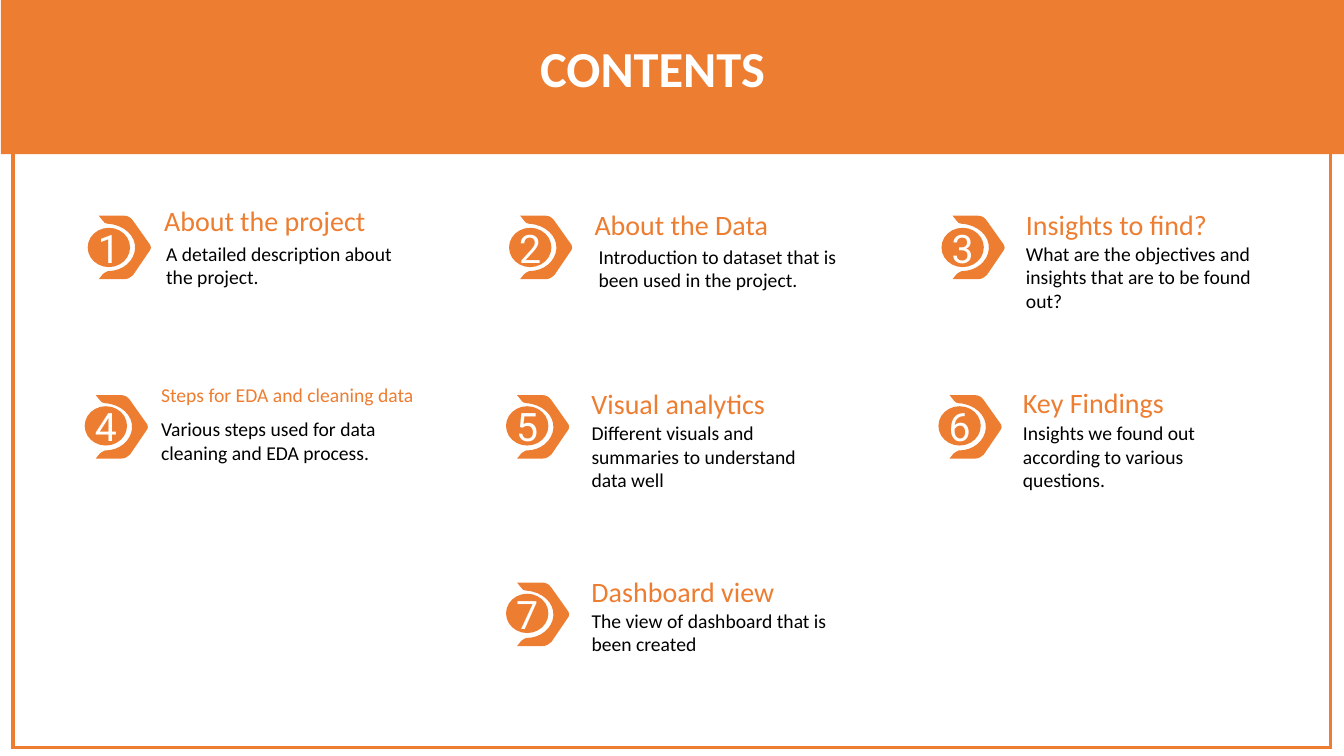
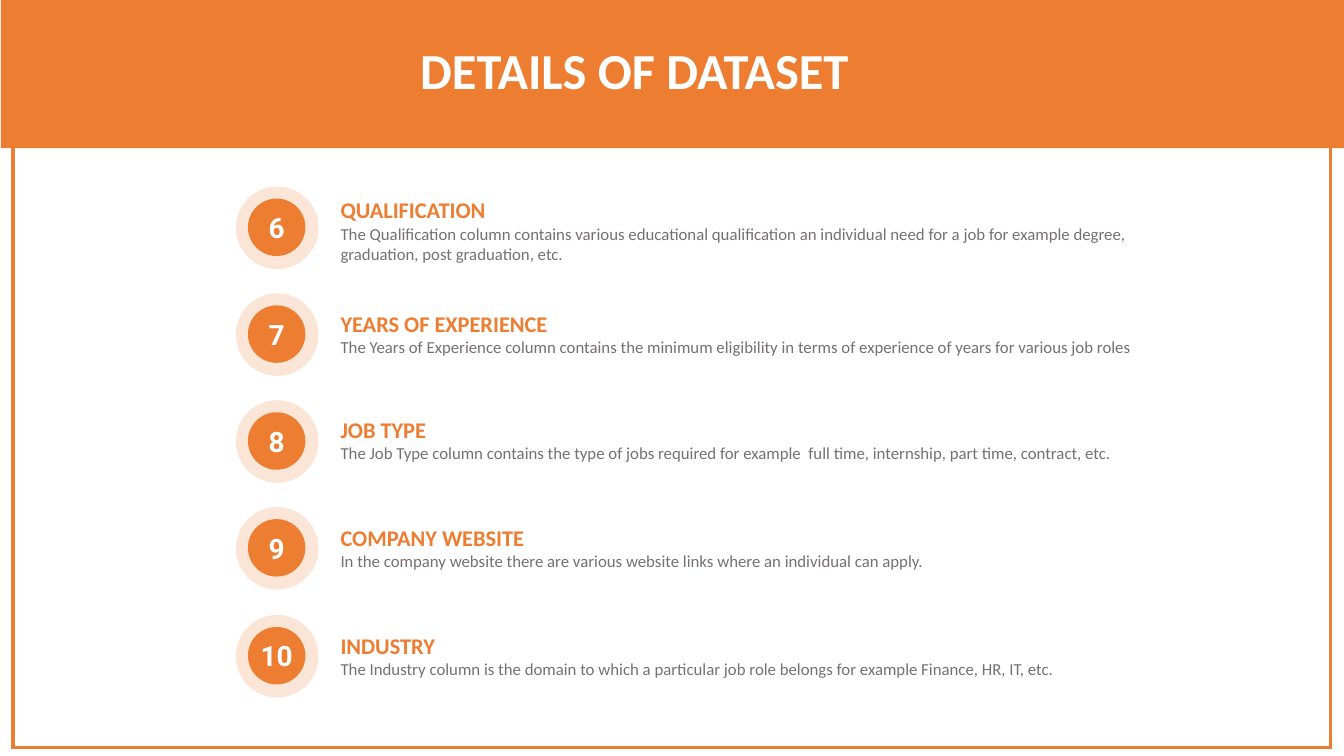
"""Build the contents slide and the dataset details slide."""
from dataclasses import dataclass

from lxml.etree import SubElement
from pptx import Presentation
from pptx.dml.color import RGBColor
from pptx.enum.shapes import MSO_SHAPE
from pptx.enum.text import MSO_ANCHOR, MSO_AUTO_SIZE, PP_ALIGN
from pptx.oxml.ns import qn
from pptx.util import Pt

PX = 9144


@dataclass(frozen=True)
class Theme:
    orange: str = "ED7D31"
    peach: str = "FBE5D6"
    white: str = "FFFFFF"
    black: str = "000000"
    grey: str = "767171"
    text: str = "Calibri"
    digits: str = "Roboto"
    title_size: int = 36
    digit_size: int = 28
    heading_size: int = 20
    label_size: int = 16
    body_size: int = 14
    detail_size: int = 12


T = Theme()
TITLE = (T.white, dict(name=T.text, size=Pt(T.title_size), bold=True))
HEADING = (T.orange, dict(name=T.text, size=Pt(T.heading_size), bold=False))
SMALL_HEADING = (T.orange, dict(name=T.text, size=Pt(T.body_size), bold=False))
BODY = (T.black, dict(name=T.text, size=Pt(T.body_size), bold=False))
DIGIT = (T.white, dict(name=T.digits, size=Pt(T.digit_size), bold=False))
BOLD_DIGIT = (T.white, dict(name=T.digits, size=Pt(T.heading_size), bold=True))
LABEL = (T.orange, dict(name=T.text, size=Pt(T.label_size), bold=True))
DETAIL = (T.grey, dict(name=T.text, size=Pt(T.detail_size), bold=False))

GROW = dict(word_wrap=True, auto_size=MSO_AUTO_SIZE.SHAPE_TO_FIT_TEXT)
BADGE = dict(word_wrap=False, vertical_anchor=MSO_ANCHOR.MIDDLE,
             margin_left=0, margin_right=0, margin_top=0, margin_bottom=0)


def paint(sp, fill):
    sp.shadow.inherit = False
    sp.fill.solid()
    sp.fill.fore_color.rgb = RGBColor.from_string(fill)
    sp.line.fill.background()
    return sp


def write(sp, frame, align, *lines):
    tf = sp.text_frame
    for key, value in frame.items():
        setattr(tf, key, value)
    for i, (text, (color, font)) in enumerate(lines):
        p = tf.add_paragraph() if i else tf.paragraphs[0]
        p.alignment = align
        r = p.add_run()
        r.text = text
        r.font.color.rgb = RGBColor.from_string(color)
        for key, value in font.items():
            setattr(r.font, key, value)


prs = Presentation()
prs.slide_width, prs.slide_height = 12192000, 750 * PX
contents, details = [prs.slides.add_slide(prs.slide_layouts[6]) for _ in range(2)]

frame = [v * PX for v in (13, 9, 1307, 733)]
border = paint(contents.shapes.add_shape(MSO_SHAPE.RECTANGLE, *frame), T.white)
border.line.color.rgb = RGBColor.from_string(T.orange)
border.line.width = Pt(2.25)
SubElement(border.element.spPr.find(qn("a:ln")), qn("a:miter"), lim="800000")
border.element.nvSpPr.cNvPr.set("id", "20")
prs.slide_master.shapes.element.append(border.element)

for s, title, band_height, title_left, title_top in [
    (contents, "CONTENTS", 157, 301, 32),
    (details, "DETAILS OF DATASET", 151, 283, 34),
]:
    band = [v * PX for v in (1, -4, 1333, band_height)]
    paint(s.shapes.add_shape(MSO_SHAPE.RECTANGLE, *band), T.orange)
    box = [v * PX for v in (title_left, title_top, 693, 71)]
    write(s.shapes.add_textbox(*box), GROW, PP_ALIGN.CENTER, (title, TITLE))

ARROW_START = (51, 29)
ARROW = [
    [(34, 5)], [(32, 2), (29, 0), (25, 0)], [(0, 0)], [(4, 5)],
    [(5, 7), (7, 8), (9, 8)], [(25, 9), (37, 20), (36, 33)],
    [(35, 45), (24, 55), (9, 55)], [(7, 56), (5, 57), (4, 58)],
    [(0, 63)], [(25, 63)], [(29, 63), (32, 61), (34, 59)], [(51, 34)],
    [(52, 33), (52, 31), ARROW_START],
]
ARROW_LEFTS = (98, 516, 945)
TEXT_LEFTS = (153, 580, 1008)
ROWS = ((0, 214, 12), (-3, 392, 11), (-3, 578, 11))
TOPICS = [
    (0, 0, "About the project", HEADING, -17, 246,
     "A detailed description about the project.", 2, 21, 57),
    (1, 0, "About the Data", HEADING, -13, 233,
     "Introduction to dataset that is been used in the project.", 4, 24, 57),
    (2, 0, "Insights to find?", HEADING, -13, 233,
     "What are the objectives and insights that are to be found out?", 0, 21, 81),
    (0, 1, "Steps for EDA and cleaning data", SMALL_HEADING, -17, 306,
     "Various steps used for data cleaning and EDA process.", 0, 17, 57),
    (1, 1, "Visual analytics", HEADING, -13, 233,
     "Different visuals and summaries to understand data well", 0, 21, 121),
    (2, 1, "Key Findings", HEADING, -14, 233,
     "Insights we found out according to various questions.", 0, 21, 81),
    (1, 2, "Dashboard view", HEADING, -13, 233,
     "The view of dashboard that is been created", 0, 21, 98),
]
for number, topic in enumerate(TOPICS, 1):
    (col, row, heading, style, heading_dy, heading_width,
     body, body_dx, body_dy, body_height) = topic
    shift, top, disc_dy = ROWS[row]
    left, text_left = ARROW_LEFTS[col] + shift, TEXT_LEFTS[col] + shift

    corners = [((left + x) * PX, (top + y) * PX)
               for x, y in [ARROW_START] + [segment[-1] for segment in ARROW]]
    builder = contents.shapes.build_freeform(*corners[0])
    builder.add_line_segments(corners[1:], close=True)
    sp = paint(builder.convert_to_shape(), T.orange)
    for line, segment in zip(list(sp.element.iter(qn("a:lnTo"))), ARROW):
        if len(segment) == 3:
            line.clear()
            line.tag = qn("a:cubicBezTo")
            for x, y in segment:
                SubElement(line, qn("a:pt"), x=str(x * PX), y=str(y * PX))

    disc = [v * PX for v in (left - 11, top + disc_dy, 42, 39)]
    sp = paint(contents.shapes.add_shape(MSO_SHAPE.OVAL, *disc), T.orange)
    write(sp, BADGE, PP_ALIGN.CENTER, (str(number), DIGIT))
    heading_height = 34 if style is SMALL_HEADING else 44
    for text, font, x, y, width, height in [
        (heading, style, text_left, top + heading_dy, heading_width, heading_height),
        (body, BODY, text_left + body_dx, top + body_dy, 259, body_height),
    ]:
        box = [v * PX for v in (x, y, width, height)]
        write(contents.shapes.add_textbox(*box), GROW, PP_ALIGN.LEFT, (text, font))

COLUMNS = [
    ("QUALIFICATION", "The Qualification column contains various educational "
     "qualification an individual need for a job for example degree, "
     "graduation, post graduation, etc.", 5, 77),
    ("YEARS OF EXPERIENCE", "The Years of Experience column contains the minimum "
     "eligibility in terms of experience of years for various job roles", 12, 57),
    ("JOB TYPE", "The Job Type column contains the type of jobs required for "
     "example  full time, internship, part time, contract, etc.", 11, 57),
    ("COMPANY WEBSITE", "In the company website there are various website links "
     "where an individual can apply.", 12, 57),
    ("INDUSTRY", "The Industry column is the domain to which a particular job "
     "role belongs for example Finance, HR, IT, etc.", 12, 57),
]
for i, (label, detail, text_dy, height) in enumerate(COLUMNS):
    top = 185 + 425 * i // 4
    for inset, size, color in [(0, 82, T.peach), (12, 57, T.orange)]:
        disc = [v * PX for v in (234 + inset, top + inset, size, size)]
        sp = paint(details.shapes.add_shape(MSO_SHAPE.OVAL, *disc), color)
    write(sp, BADGE, PP_ALIGN.CENTER, (str(6 + i), BOLD_DIGIT))
    box = [v * PX for v in (328, top + text_dy, 869, height)]
    write(details.shapes.add_textbox(*box), GROW, PP_ALIGN.LEFT,
          (label, LABEL), (detail, DETAIL))

prs.save("out.pptx")
